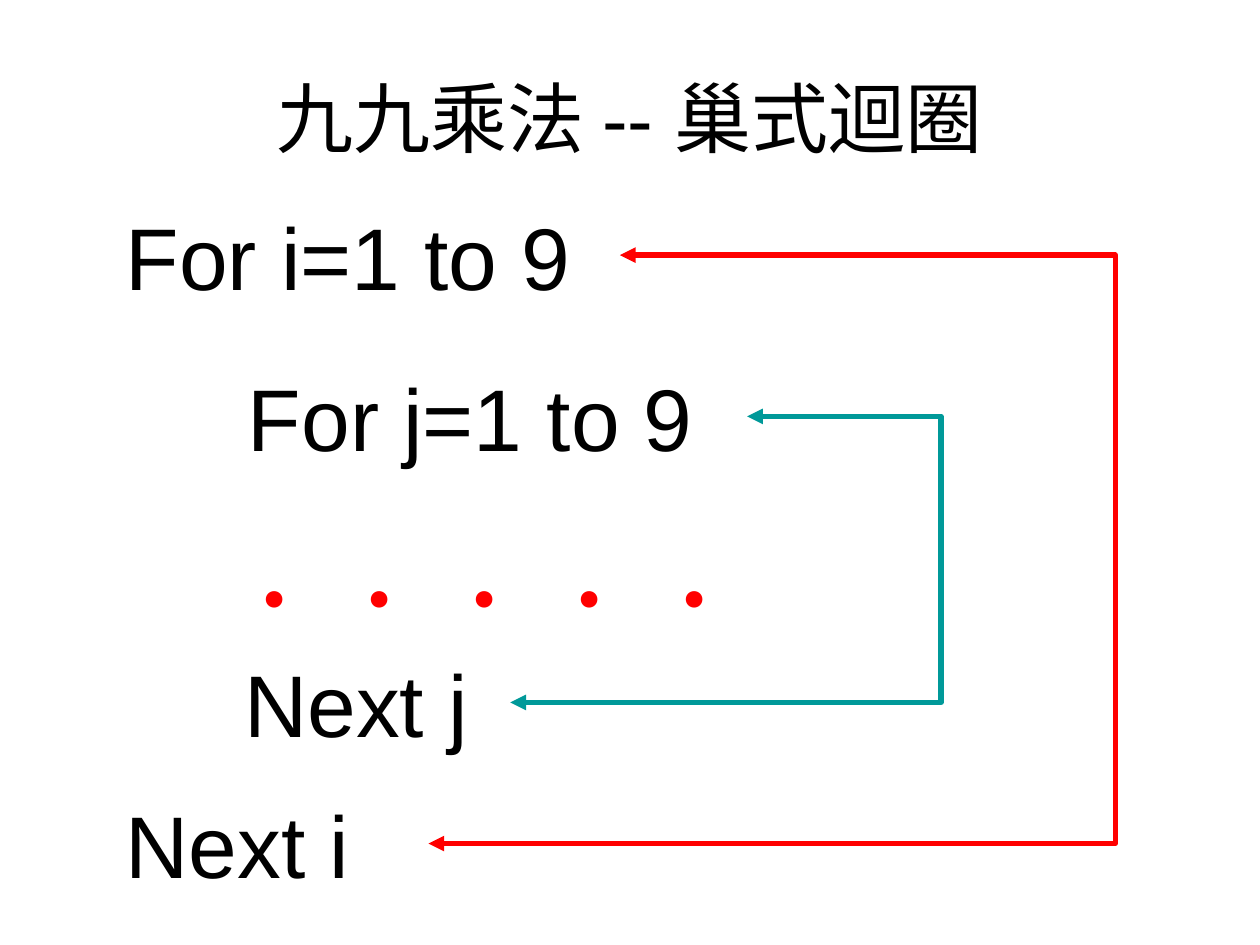
from lxml import etree
from pptx import Presentation
from pptx.dml.color import RGBColor
from pptx.enum.shapes import MSO_CONNECTOR
from pptx.enum.text import MSO_ANCHOR, PP_ALIGN
from pptx.oxml.ns import qn
from pptx.util import Inches, Pt

BLACK = RGBColor(0x00, 0x00, 0x00)
RED = RGBColor(0xFF, 0x00, 0x00)
TEAL = RGBColor(0x00, 0x99, 0x99)

TITLE = ("九九乘法 -- 巢式迴圈", (0.5, 0.3, 9, 1.25), 44, BLACK)
CODE = {
    "for_i": ("For i=1 to 9", (0.9, 1.47, 4.02, 1.11), 50, BLACK),
    "for_j": ("For j=1 to 9", (1.87, 2.75, 4.06, 1.11), 50, BLACK),
    "body": ("．．．．．", (1.88, 4.01, 4.41, 0.97), 60, RED),
    "next_j": ("Next j", (1.84, 5.02, 2.21, 1.11), 50, BLACK),
    "next_i": ("Next i", (0.9, 6.14, 2.5, 1.11), 50, BLACK),
}
LOOPS = [("for_i", "next_i", 8.85, RED), ("for_j", "next_j", 7.47, TEAL)]


def add_text(slide, text, box, size, color, align=PP_ALIGN.LEFT):
    sp = slide.shapes.add_textbox(*map(Inches, box))
    tf = sp.text_frame
    tf.word_wrap = True
    tf.vertical_anchor = MSO_ANCHOR.MIDDLE
    p = tf.paragraphs[0]
    p.alignment = align
    r = p.add_run()
    r.text = text
    r.font.name = "Arial"
    r.font.size = Pt(size)
    r.font.color.rgb = color
    return sp


def right_middle(sp):
    return sp.left + sp.width, sp.top + sp.height // 2


def add_loop(slide, start, end, bend, color):
    x1, y1 = right_middle(start)
    x2, y2 = right_middle(end)
    cxn = slide.shapes.add_connector(MSO_CONNECTOR.ELBOW, x1, y1, x2, y2)
    cxn.line.color.rgb = color
    cxn.line.width = Pt(3)
    ln = cxn.line._get_or_add_ln()
    for tag in ("a:headEnd", "a:tailEnd"):
        etree.SubElement(ln, qn(tag), type="triangle")
    sp_pr = cxn._element.spPr
    etree.SubElement(sp_pr, qn("a:effectLst"))
    adj = round((Inches(bend) - x1) / (x2 - x1) * 100000)
    guides = sp_pr.find(qn("a:prstGeom")).get_or_add_avLst()
    etree.SubElement(guides, qn("a:gd"), name="adj1", fmla=f"val {adj}")


def main():
    prs = Presentation()
    prs.slide_width, prs.slide_height = Inches(10), Inches(7.5)
    slide = prs.slides.add_slide(prs.slide_layouts[6])
    add_text(slide, *TITLE, align=PP_ALIGN.CENTER)
    lines = {key: add_text(slide, *line) for key, line in CODE.items()}
    for start, end, bend, color in LOOPS:
        add_loop(slide, lines[start], lines[end], bend, color)
    prs.save("out.pptx")


if __name__ == "__main__":
    main()
